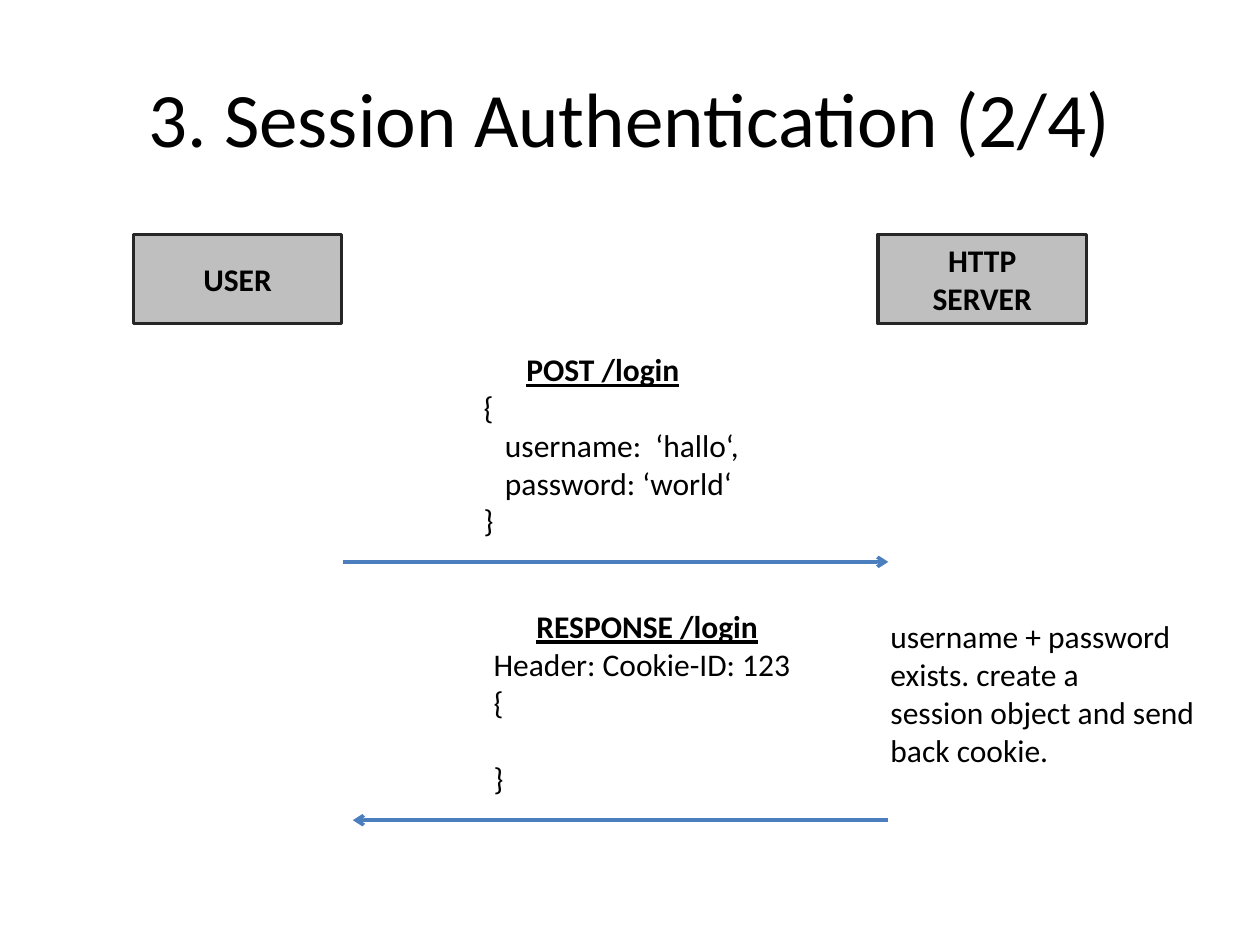
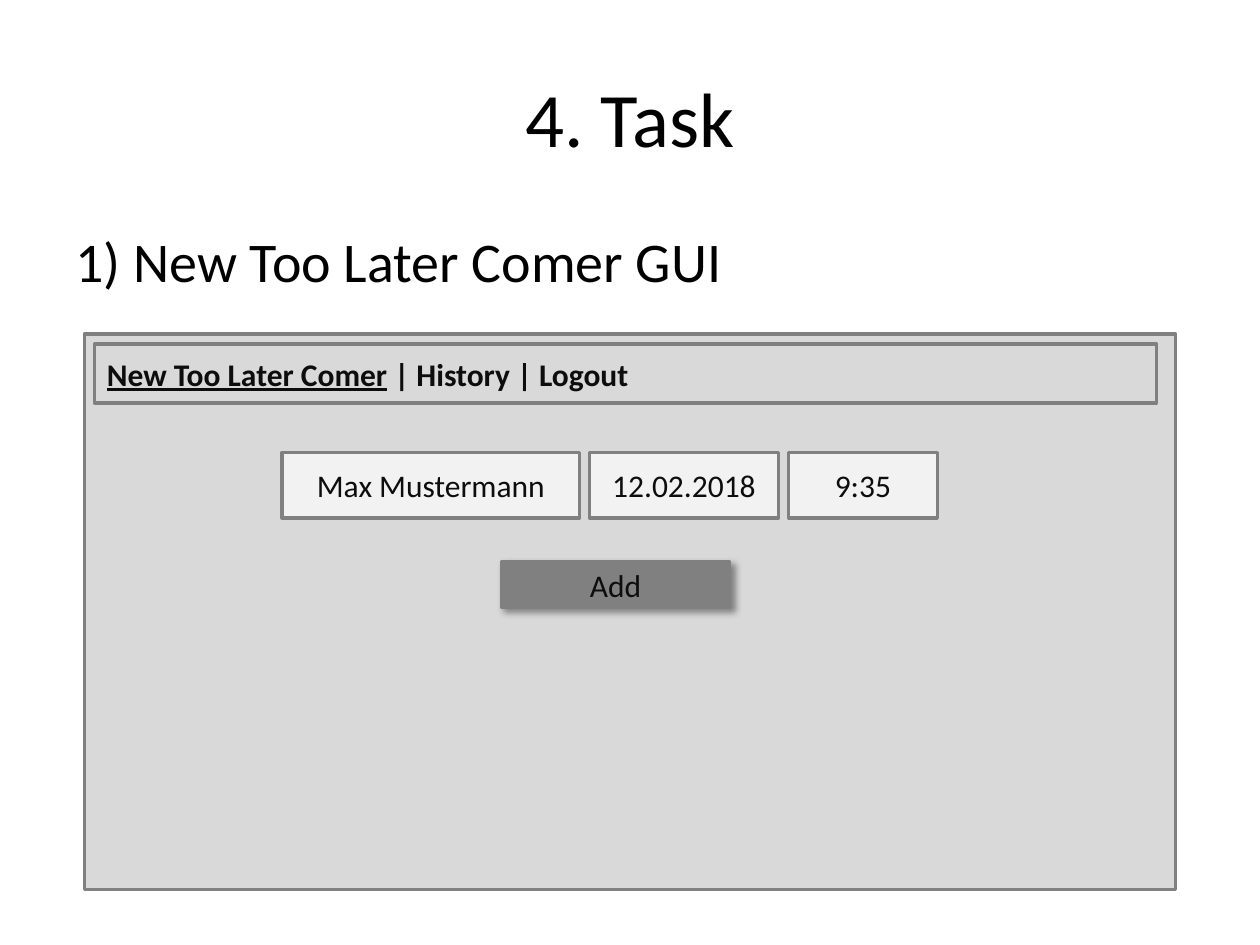
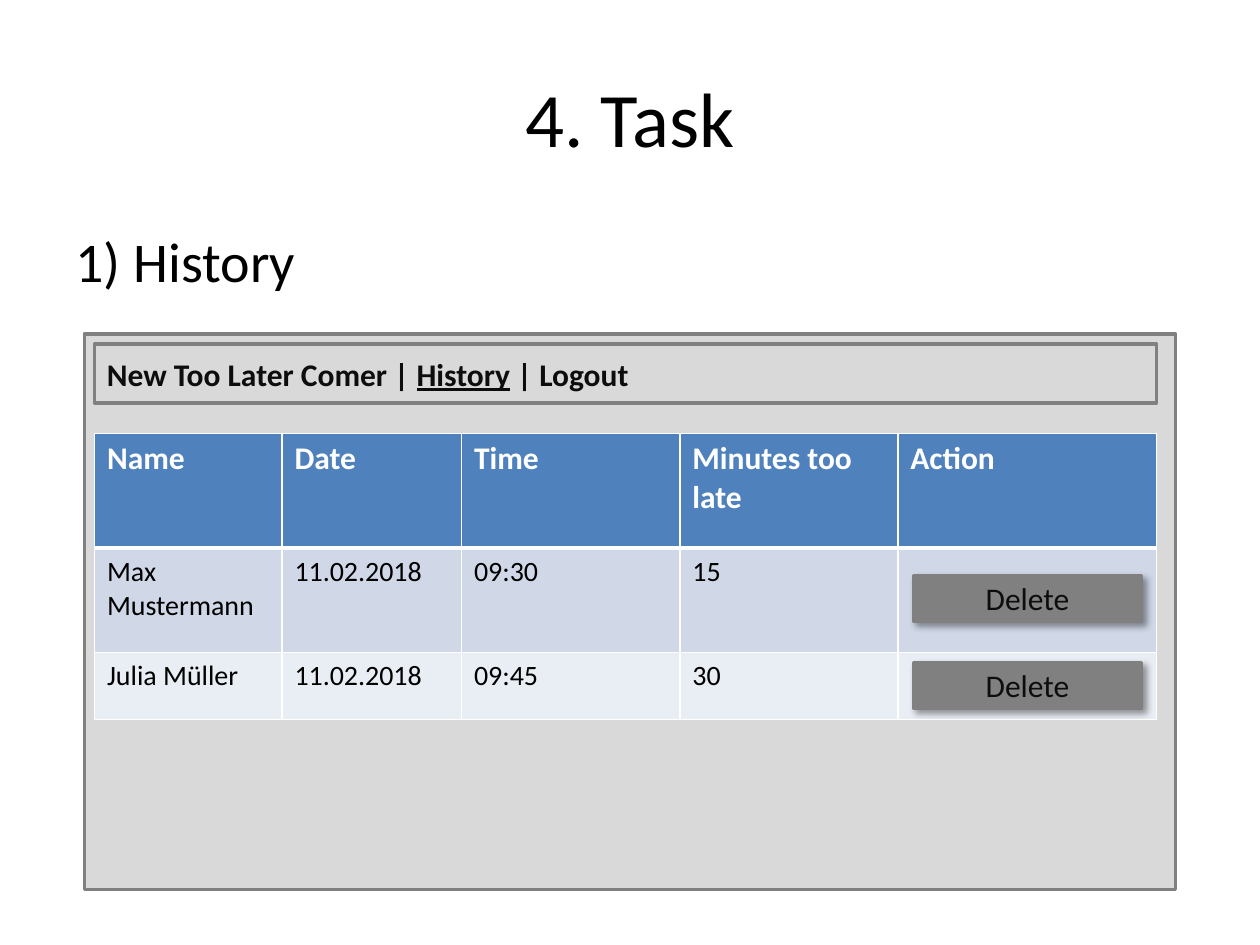
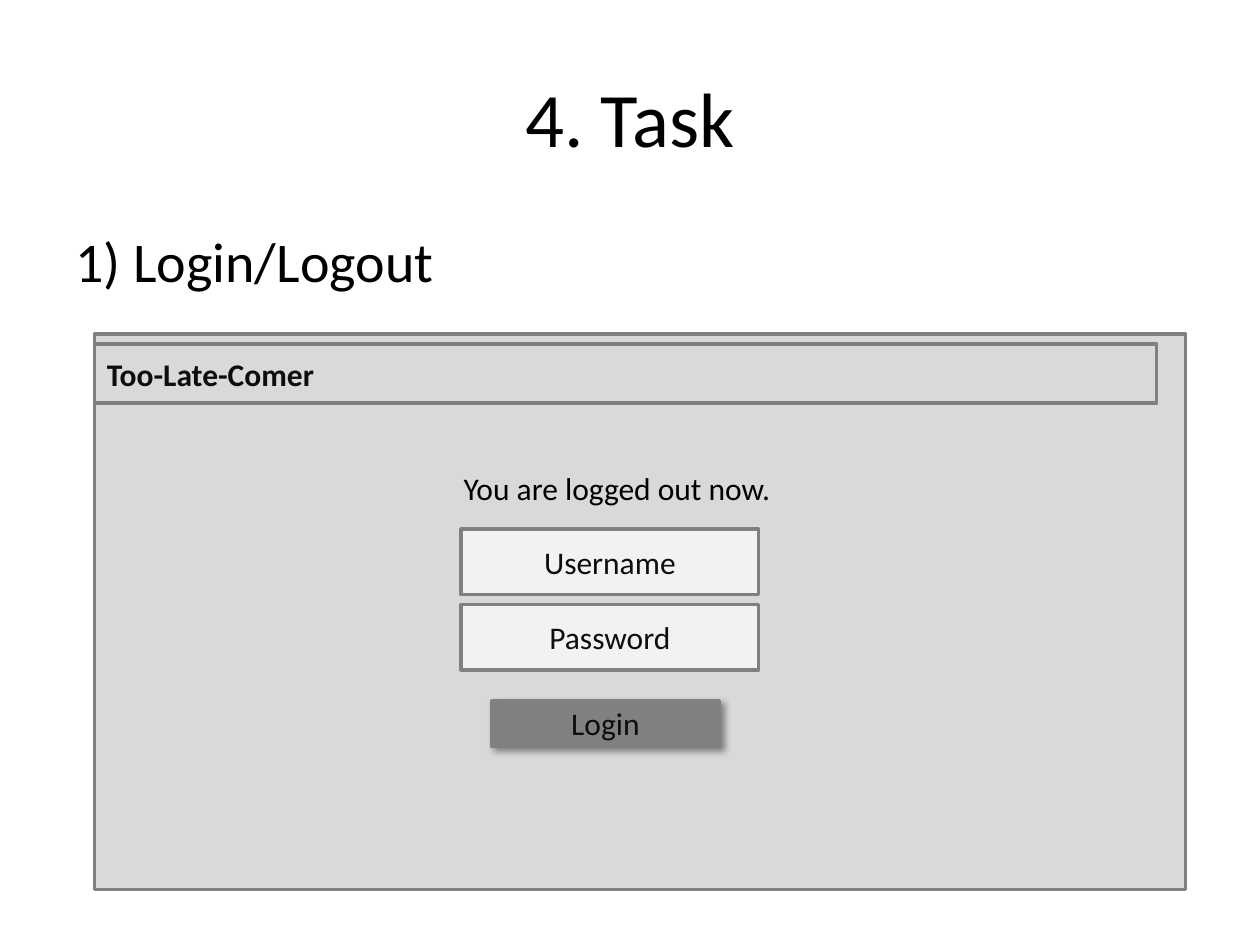
import pptx
import pptx.util
import pptx.dml.color
import pptx.enum.shapes
import pptx.enum.text
import pptx.oxml
import pptx.oxml.ns
import lxml.etree

Pt = pptx.util.Pt
RGBColor = pptx.dml.color.RGBColor
ALIGN = pptx.enum.text.PP_ALIGN
MIDDLE = pptx.enum.text.MSO_ANCHOR.MIDDLE

FONT = "Calibri"
BLACK = RGBColor(0, 0, 0)
WHITE = RGBColor(255, 255, 255)
INK = RGBColor(0x0D, 0x0D, 0x0D)
DARK = RGBColor(0x26, 0x26, 0x26)
GRAY = RGBColor(0x80, 0x80, 0x80)
SILVER = RGBColor(0xBF, 0xBF, 0xBF)
PANEL = RGBColor(0xD9, 0xD9, 0xD9)
FIELD = RGBColor(0xF2, 0xF2, 0xF2)
ARROW = RGBColor(0x4B, 0x7E, 0xBC)
HEAD = RGBColor(0x4F, 0x81, 0xBD)
BANDS = [RGBColor(0xD0, 0xD8, 0xE8), RGBColor(0xE9, 0xED, 0xF4)]

SPACE = 4.07  # width of one space at 18 pt
LINE = 21.97  # height of one line at 18 pt
WINDOW = (48.2, 190.8, 623.5, 317.5)
BUTTON = (130.3, 25.9)
FIELD_H = 37.4


def style(para, size=18, color=BLACK, bold=False, align=ALIGN.LEFT):
    para.alignment = align
    for run in para.runs:
        font = run.font
        font.name, font.size, font.bold = FONT, Pt(size), bold
        font.color.rgb = color


def write(frame, text, **look):
    frame.text = text
    for para in frame.paragraphs:
        style(para, **look)


def indent(para, left, first=0):
    props = para._p.get_or_add_pPr()
    props.set("marL", str(Pt(left)))
    props.set("indent", str(Pt(first)))


def add_text(slide, box, text, wrap=False, **look):
    frame = slide.shapes.add_textbox(*map(Pt, box)).text_frame
    frame.word_wrap = wrap
    write(frame, text, **look)
    return frame


def add_box(slide, box, fill, line, text="", **look):
    kind = pptx.enum.shapes.MSO_SHAPE.RECTANGLE
    shape = slide.shapes.add_shape(kind, *map(Pt, box))
    shape.shadow.inherit = False
    shape.fill.solid()
    shape.fill.fore_color.rgb = fill
    shape.line.color.rgb = line
    shape.line.width = Pt(2)
    if text:
        shape.text_frame.vertical_anchor = MIDDLE
        write(shape.text_frame, text, **look)
    return shape


def add_field(slide, box, text):
    add_box(slide, box, FIELD, GRAY, text, color=INK, align=ALIGN.CENTER)


def add_button(slide, left, top, text):
    shape = add_box(slide, (left, top, *BUTTON), GRAY, GRAY, text,
                    color=INK, align=ALIGN.CENTER)
    effects = shape._element.spPr.find(pptx.oxml.ns.qn("a:effectLst"))
    effects.append(pptx.oxml.parse_xml(
        f'<a:outerShdw {pptx.oxml.ns.nsdecls("a")} blurRad="{Pt(4)}"'
        f' dist="{Pt(3)}" dir="2700000"><a:srgbClr val="000000">'
        '<a:alpha val="40000"/></a:srgbClr></a:outerShdw>'))


def add_arrow(slide, start, end, top):
    kind = pptx.enum.shapes.MSO_CONNECTOR.STRAIGHT
    line = slide.shapes.add_connector(kind, Pt(start), Pt(top), Pt(end), Pt(top))
    line.line.color.rgb = ARROW
    line.line.width = Pt(2)
    tip = lxml.etree.SubElement(line.line._get_or_add_ln(),
                                pptx.oxml.ns.qn("a:tailEnd"))
    tip.set("type", "arrow")
    lxml.etree.SubElement(line._element.spPr, pptx.oxml.ns.qn("a:effectLst"))


def add_slide(deck, title, topic=""):
    slide = deck.slides.add_slide(deck.slide_layouts[6])
    frame = add_text(slide, (36, 21.6, 648, 90), title, wrap=True,
                     size=44, align=ALIGN.CENTER)
    frame.vertical_anchor = MIDDLE
    if topic:
        frame = add_text(slide, (36, 126, 648, 47.5), topic, wrap=True, size=32)
        indent(frame.paragraphs[0], 27, -27)
    return slide


def add_message(slide, box, lines, inner=()):
    """Request or response: an underlined heading over its content."""
    frame = add_text(slide, box, "\n".join(lines))
    paras = frame.paragraphs
    indent(paras[0], 6 * SPACE)
    font = paras[0].runs[0].font
    font.bold = font.underline = True
    for row in inner:
        indent(paras[row], 3 * SPACE)
    return paras


def add_window(slide, box, nav, items, active=None):
    """Mock window with its menu bar; nav is the bar's offset from the left."""
    left, top, width, height = box
    add_box(slide, box, PANEL, GRAY)
    bar = add_box(slide, (left + nav, top + 5.8, 607, 33.8), PANEL, GRAY)
    bar.text_frame.vertical_anchor = MIDDLE
    para = bar.text_frame.paragraphs[0]
    for i, item in enumerate(items):
        if i:
            para.add_run().text = " | "
        run = para.add_run()
        run.text = item
        run.font.underline = item == active
    style(para, color=INK, bold=True)


def set_border(cell, side, width):
    cell._tc.get_or_add_tcPr().append(pptx.oxml.parse_xml(
        f'<a:{side} {pptx.oxml.ns.nsdecls("a")} w="{Pt(width)}"><a:solidFill>'
        f'<a:srgbClr val="{WHITE}"/></a:solidFill></a:{side}>'))


def add_grid(slide, left, top, rows, widths, heights):
    table = slide.shapes.add_table(
        len(rows), len(widths), Pt(left), Pt(top),
        Pt(sum(widths)), Pt(sum(heights))).table
    for col, width in zip(table.columns, widths):
        col.width = Pt(width)
    for r, (row, height) in enumerate(zip(rows, heights)):
        table.rows[r].height = Pt(height)
        for c, text in enumerate(row):
            cell = table.cell(r, c)
            if r == 0:
                write(cell.text_frame, text, color=WHITE, bold=True)
            else:
                write(cell.text_frame, text, size=16)
            # Borders come before the fill in the cell's XML
            for side in ("lnL", "lnR", "lnT", "lnB"):
                rule = (side, r) in (("lnB", 0), ("lnT", 1))
                set_border(cell, side, 3 if rule else 1)
            cell.fill.solid()
            cell.fill.fore_color.rgb = BANDS[(r - 1) % 2] if r else HEAD


def session_slide(deck):
    slide = add_slide(deck, "3. Session Authentication (2/4)")
    # Both parties
    for left, name in ((76.3, "USER"), (501.8, "HTTP\nSERVER")):
        add_box(slide, (left, 133.9, 119, 51.1), SILVER, DARK, name,
                bold=True, align=ALIGN.CENTER)
    # Request
    add_message(slide, (269.3, 196.6, 162.7, 116.6),
                ["POST /login", "{", "username:  ‘hallo‘,",
                 "password: ‘world‘", "}"], inner=(2, 3))
    add_arrow(slide, 195.8, 507.6, 321.1)
    # Response, with an open line between the braces
    paras = add_message(slide, (275, 343.4, 186.5, 116.6),
                        ["RESPONSE /login", "Header: Cookie-ID: 123", "{", "}"])
    paras[-1].space_before = Pt(LINE)
    add_arrow(slide, 507.6, 201.6, 468.7)
    # Server note
    add_text(slide, (501.8, 349.2, 194.4, 94.3),
             "username + password\nexists. create a\n"
             "session object and send\nback cookie.")


def entry_slide(deck, box):
    slide = add_slide(deck, "4. Task", "1) New Too Later Comer GUI")
    left, top = box[:2]
    add_window(slide, box, 5.8, ["New Too Later Comer", "History", "Logout"],
               "New Too Later Comer")
    # Row of fields
    x = left + 113
    for text, width in (("Max Mustermann", 170), ("12.02.2018", 108),
                        ("9:35", 85)):
        add_field(slide, (x, top + 67.7, width, FIELD_H), text)
        x += width + 5.7
    add_button(slide, left + 238.4, top + 130.3, "Add")


def history_slide(deck, box):
    slide = add_slide(deck, "4. Task", "1) History")
    left, top = box[:2]
    add_window(slide, box, 5.8, ["New Too Later Comer", "History", "Logout"],
               "History")
    add_grid(slide, left + 5.8, top + 56.9,
             [["Name", "Date", "Time", "Minutes too late", "Action"],
              ["Max Mustermann", "11.02.2018", "09:30", "15", ""],
              ["Julia Müller", "11.02.2018", "09:45", "30", ""]],
             [107.1, 102.6, 124.8, 124.6, 147.8], [65.5, 59.8, 38.2])
    for y in (138.2, 187.9):
        add_button(slide, left + 473.8, top + y, "Delete")


def login_slide(deck, box):
    slide = add_slide(deck, "4. Task", "1) Login/Logout")
    left, top = box[:2]
    add_window(slide, box, 0, ["Too-Late-Comer"])
    # Login form
    for i, text in enumerate(("Username", "Password")):
        add_field(slide, (left + 209.5, top + 111.6 + 43 * i, 170, FIELD_H), text)
    add_button(slide, left + 226.8, top + 209.5, "Login")
    add_text(slide, (left + 203.8, top + 73.4, 192.2, 29),
             "You are logged out now.")


deck = pptx.Presentation()
deck.slide_width, deck.slide_height = Pt(720), Pt(540)
session_slide(deck)
entry_slide(deck, WINDOW)
history_slide(deck, WINDOW)
login_slide(deck, (54, *WINDOW[1:]))
deck.save("out.pptx")
